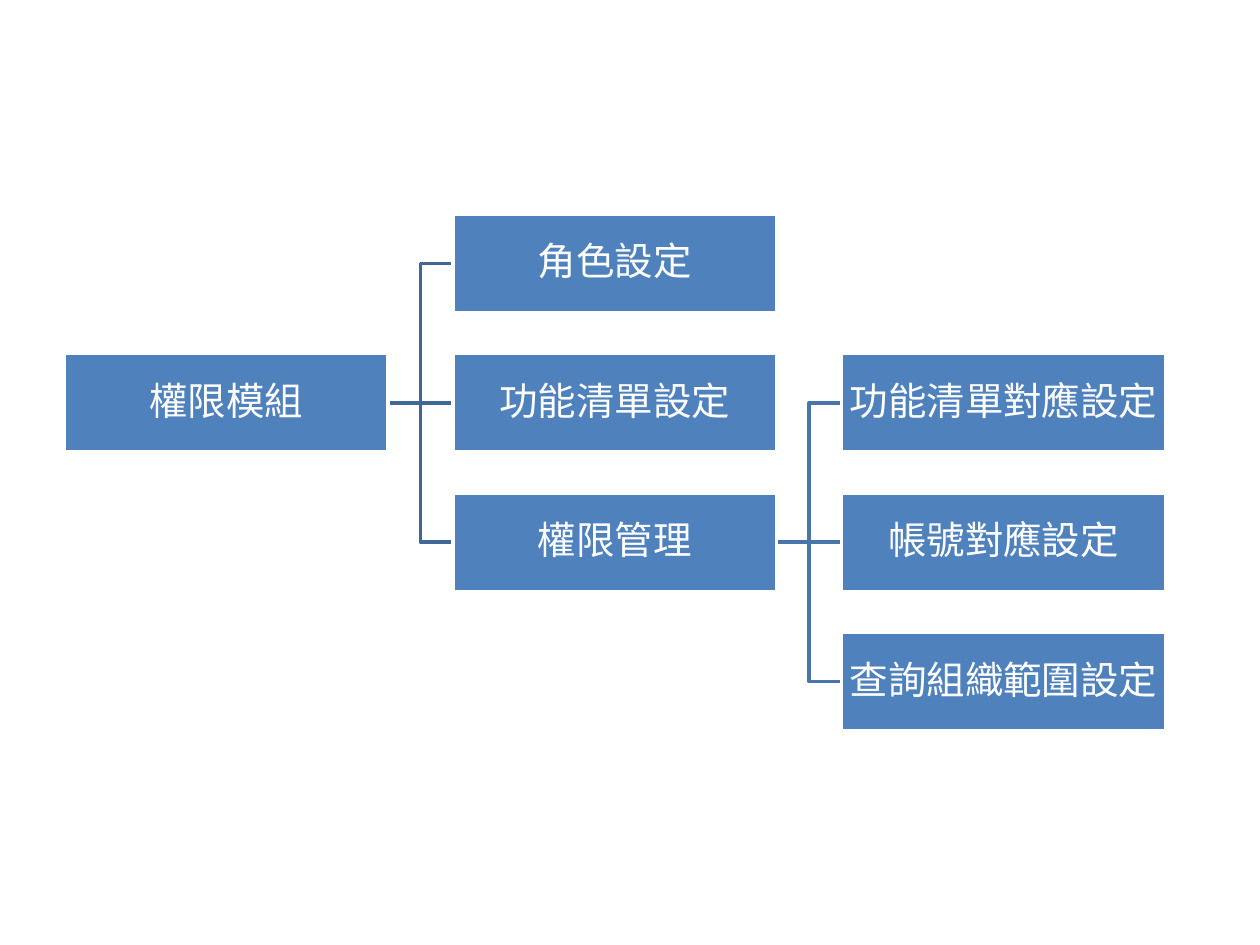
from lxml import etree
from pptx import Presentation
from pptx.dml.color import RGBColor
from pptx.enum.shapes import MSO_CONNECTOR, MSO_SHAPE
from pptx.enum.text import MSO_ANCHOR, PP_ALIGN
from pptx.oxml.ns import qn
from pptx.util import Inches, Pt

STRAIGHT, ELBOW = MSO_CONNECTOR.STRAIGHT, MSO_CONNECTOR.ELBOW
RECTANGLE = MSO_SHAPE.RECTANGLE
MIDDLE, CENTER = MSO_ANCHOR.MIDDLE, PP_ALIGN.CENTER

WHITE = RGBColor(0xFF, 0xFF, 0xFF)
BOX_BLUE = RGBColor(0x4F, 0x81, 0xBD)
ROOT_LINE = RGBColor(0x3F, 0x67, 0x97)
BRANCH_LINE = RGBColor(0x48, 0x75, 0xAC)
FONT = "Noto Sans CJK SC"

# Grid in inches: three columns, four rows
LEFT, TOP = 0.51, 1.7
COL_STEP = (6.68 - LEFT) / 2
ROW_STEP = (5.02 - TOP) / 3
BOX_W, BOX_H = 2.57, 0.78

# Label: (column, row)
NODES = {
    "權限模組": (0, 1),
    "角色設定": (1, 0),
    "功能清單設定": (1, 1),
    "權限管理": (1, 2),
    "功能清單對應設定": (2, 1),
    "帳號對應設定": (2, 2),
    "查詢組織範圍設定": (2, 3),
}

# Parent, children, line colour
BRANCHES = [
    ("權限管理", ["查詢組織範圍設定", "帳號對應設定", "功能清單對應設定"], BRANCH_LINE),
    ("權限模組", ["權限管理", "功能清單設定", "角色設定"], ROOT_LINE),
]


def corner(label):
    col, row = NODES[label]
    return LEFT + col * COL_STEP, TOP + row * ROW_STEP


def add_link(slide, parent, child, color):
    x1, y1 = corner(parent)
    x2, y2 = corner(child)
    kind = STRAIGHT if y1 == y2 else ELBOW
    points = (x1 + BOX_W, y1 + BOX_H / 2, x2, y2 + BOX_H / 2)
    link = slide.shapes.add_connector(kind, *map(Inches, points))
    link.line.color.rgb = color
    link.line.width = Pt(2)
    etree.SubElement(link._element.spPr, qn("a:effectLst"))


def add_box(slide, label):
    x, y = corner(label)
    sp = slide.shapes.add_shape(RECTANGLE, *map(Inches, (x, y, BOX_W, BOX_H)))
    sp.shadow.inherit = False
    sp.fill.solid()
    sp.fill.fore_color.rgb = BOX_BLUE
    sp.line.color.rgb = WHITE
    sp.line.width = Pt(2)

    tf = sp.text_frame
    tf.word_wrap = True
    tf.vertical_anchor = MIDDLE
    tf.margin_left = tf.margin_right = Inches(0.02)
    tf.margin_top = tf.margin_bottom = Inches(0.02)
    p = tf.paragraphs[0]
    p.text = label
    p.alignment = CENTER
    p.line_spacing = 0.9
    p.space_after = Pt(7.7)
    p.font.size = Pt(22)
    p.font.color.rgb = WHITE
    p.font.name = FONT
    # East Asian text takes its typeface from a:ea
    ea = etree.SubElement(p.font._element, qn("a:ea"))
    ea.set("typeface", FONT)


def main():
    prs = Presentation()
    prs.slide_width, prs.slide_height = Inches(10), Inches(7.5)
    slide = prs.slides.add_slide(prs.slide_layouts[6])

    # Links lie behind the boxes
    for parent, children, color in BRANCHES:
        for child in children:
            add_link(slide, parent, child, color)

    # Boxes
    for label in NODES:
        add_box(slide, label)

    prs.save("out.pptx")


main()
